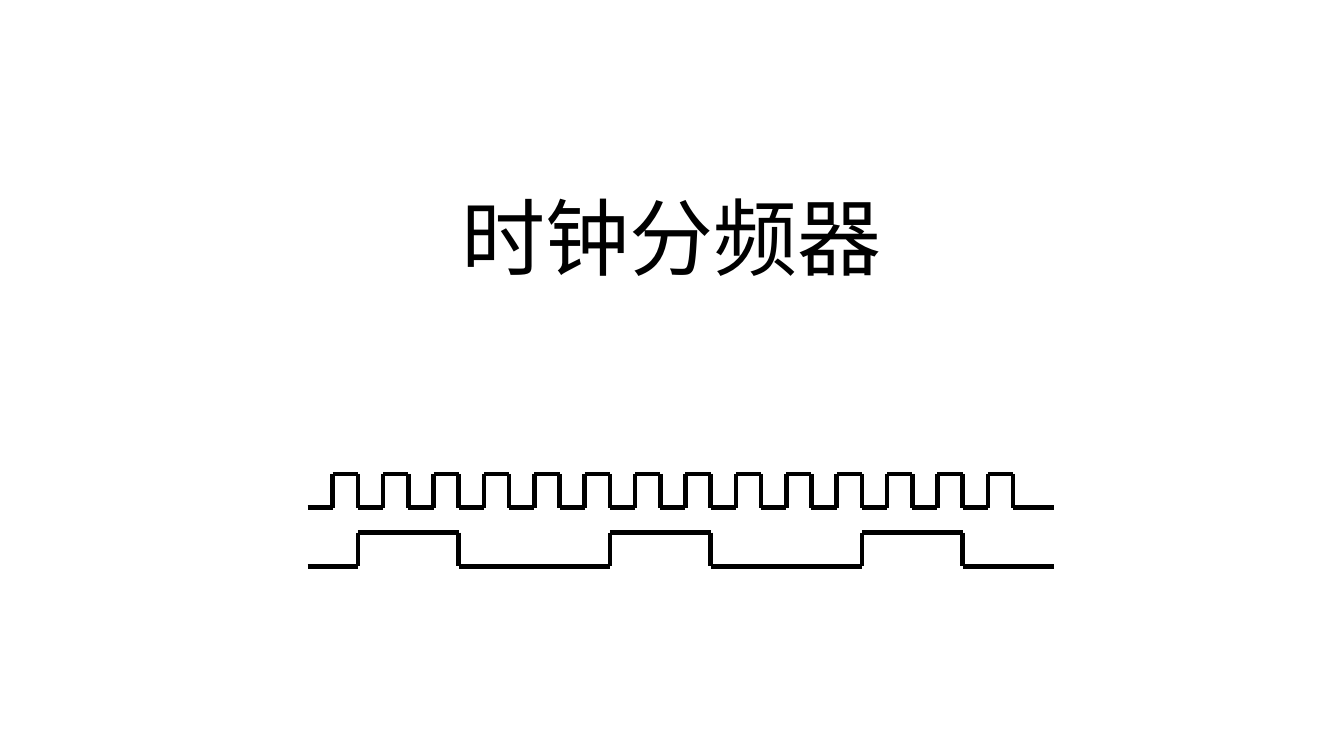
from dataclasses import dataclass
from itertools import pairwise

from lxml import etree
from pptx import Presentation
from pptx.dml.color import RGBColor
from pptx.enum.shapes import MSO_CONNECTOR
from pptx.enum.text import MSO_ANCHOR, PP_ALIGN
from pptx.oxml.ns import qn
from pptx.util import Cm, Pt

STRAIGHT = MSO_CONNECTOR.STRAIGHT
BOTTOM = MSO_ANCHOR.BOTTOM
CENTER = PP_ALIGN.CENTER


@dataclass(frozen=True)
class Theme:
    ink: RGBColor = RGBColor(0, 0, 0)
    font: str = "Noto Sans CJK SC"
    title_size: Pt = Pt(60)
    signal_width: Pt = Pt(3.25)


THEME = Theme()

WAVE_LEFT, WAVE_RIGHT = 7.75, 26.57
CLOCK_PERIOD = 1.27
SIGNAL_HEIGHT = 0.85
CLOCK_TOP, DIVIDED_TOP = 11.94, 13.42

# Edge times are counted in input clock periods; the first edge rises.
CLOCK_EDGES = [half / 2 for half in range(1, 29)]
DIVIDED_EDGES = [start + offset for start in range(1, 12, 5) for offset in (0, 2)]


def add_text(page, text, left, top, width, height, *, size, color, font,
             align, anchor, line_spacing, bottom_margin):
    box = page.shapes.add_textbox(Cm(left), Cm(top), Cm(width), Cm(height))
    frame = box.text_frame
    frame.word_wrap = True
    frame.vertical_anchor = anchor
    frame.margin_bottom = Cm(bottom_margin)
    para = frame.paragraphs[0]
    para.alignment = align
    para.line_spacing = line_spacing
    span = para.add_run()
    span.text = text
    span.font.size = size
    span.font.name = font
    span.font.color.rgb = color
    properties = span.font._element
    etree.SubElement(properties, qn("a:ea"), typeface=font)


def add_line(page, start, end):
    line = page.shapes.add_connector(
        STRAIGHT, *(Cm(length) for length in (*start, *end)))
    line.line.color.rgb = THEME.ink
    line.line.width = THEME.signal_width
    etree.SubElement(line._element.spPr, qn("a:effectLst"))


def add_waveform(page, top, edges):
    """Draw a signal that starts low and toggles at every edge."""
    low, high = top + SIGNAL_HEIGHT, top
    level = low
    points = [(WAVE_LEFT, level)]
    for edge in edges:
        x = WAVE_LEFT + edge * CLOCK_PERIOD
        points.append((x, level))
        level = high if level == low else low
        points.append((x, level))
    points.append((WAVE_RIGHT, level))
    for start, end in pairwise(points):
        add_line(page, start, end)


def main():
    deck = Presentation()
    deck.slide_width, deck.slide_height = Cm(33.87), Cm(19.05)
    page = deck.slides.add_slide(deck.slide_layouts[6])

    add_text(page, "时钟分频器", 4.23, 3.12, 25.4, 6.63,
             size=THEME.title_size, color=THEME.ink, font=THEME.font,
             align=CENTER, anchor=BOTTOM, line_spacing=0.9, bottom_margin=2.5)
    add_waveform(page, CLOCK_TOP, CLOCK_EDGES)
    add_waveform(page, DIVIDED_TOP, DIVIDED_EDGES)

    deck.save("out.pptx")


if __name__ == "__main__":
    main()
